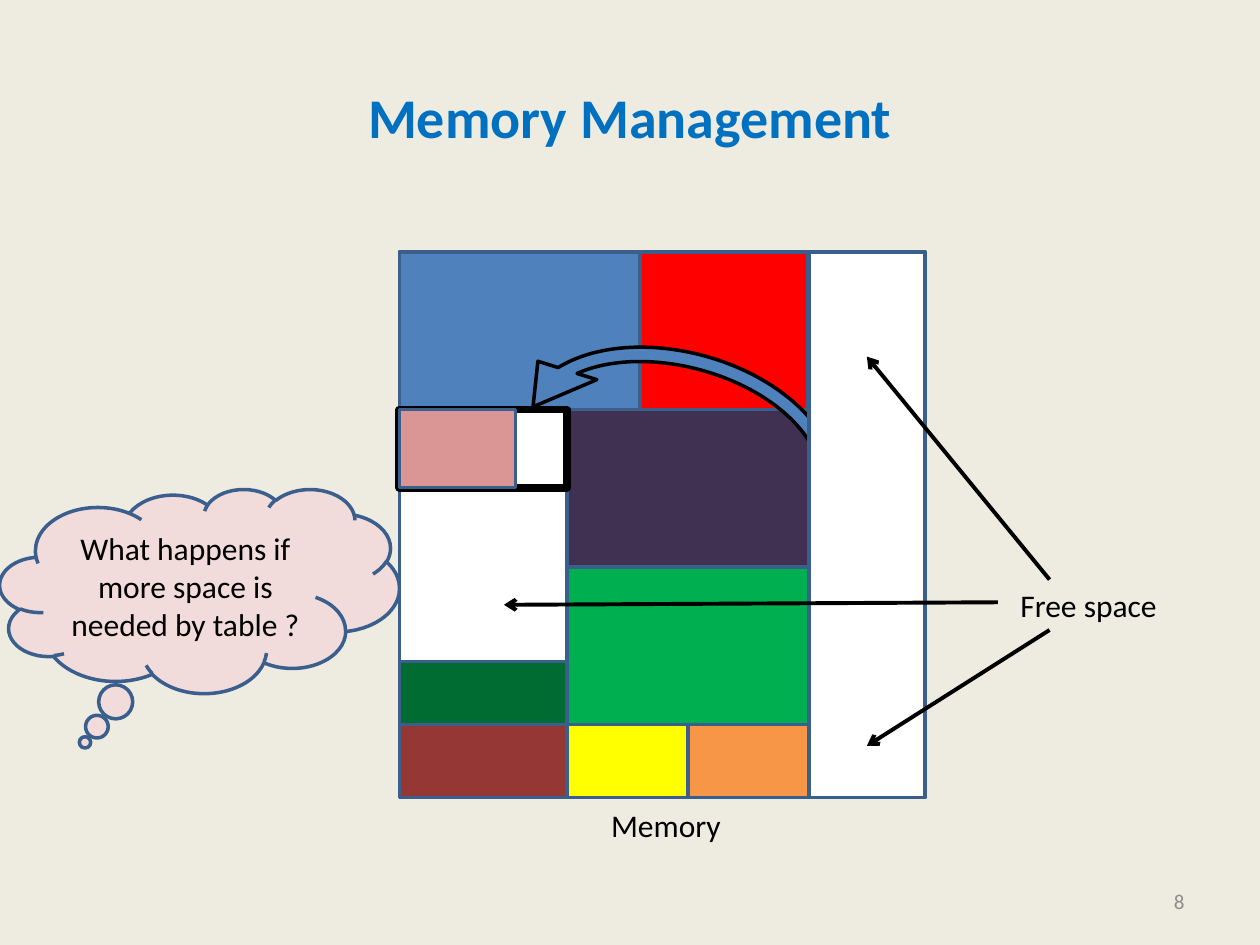
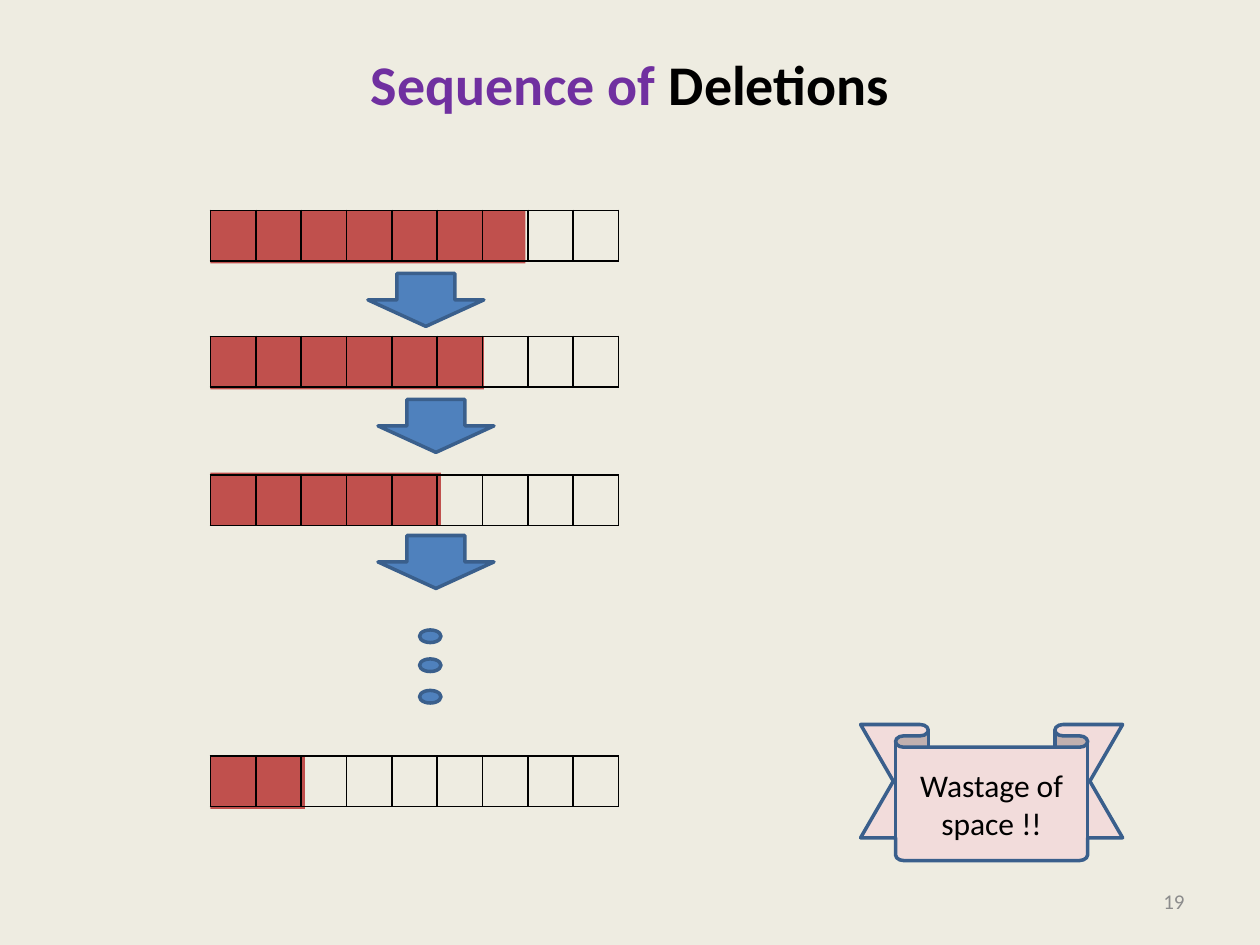
from lxml.etree import SubElement
from pptx import Presentation
from pptx.dml.color import RGBColor
from pptx.enum.shapes import MSO_CONNECTOR, MSO_SHAPE
from pptx.enum.text import MSO_ANCHOR, PP_ALIGN
from pptx.oxml.ns import qn
from pptx.util import Inches, Pt

FONT = "Calibri"
CREAM = RGBColor(0xEE, 0xEC, 0xE1)
BLACK = RGBColor(0, 0, 0)
WHITE = RGBColor(0xFF, 0xFF, 0xFF)
GREY = RGBColor(0x8C, 0x8C, 0x8C)
SKY = RGBColor(0x00, 0x70, 0xC0)
VIOLET = RGBColor(0x70, 0x30, 0xA0)
NAVY = RGBColor(0x3A, 0x5F, 0x8C)
BLUE = RGBColor(0x4F, 0x81, 0xBD)
BRICK = RGBColor(0xC0, 0x50, 0x4D)
BLUSH = RGBColor(0xF2, 0xDC, 0xDB)
ROSE = RGBColor(0xD9, 0x96, 0x94)
ORANGE = RGBColor(0xF7, 0x96, 0x46)
RED = RGBColor(0xFF, 0, 0)
PLUM = RGBColor(0x40, 0x31, 0x52)
GREEN = RGBColor(0x00, 0xB0, 0x50)
FOREST = RGBColor(0x00, 0x6C, 0x31)
MAROON = RGBColor(0x95, 0x37, 0x35)
YELLOW = RGBColor(0xFF, 0xFF, 0)


def draw(shapes, kind, at, fill, line=NAVY, width=2, adjust=()):
    """Add a filled preset shape; line=None leaves out the outline."""
    shape = shapes.add_shape(kind, *map(Inches, at))
    shape.shadow.inherit = False
    shape.fill.solid()
    shape.fill.fore_color.rgb = fill
    if line is None:
        shape.line.fill.background()
    else:
        shape.line.color.rgb = line
        shape.line.width = Pt(width)
    for i, value in enumerate(adjust):
        shape.adjustments[i] = value
    return shape


def write(shape, runs, size=18, bold=False, align=PP_ALIGN.CENTER, **frame):
    """Fill one paragraph with (text, colour) runs; frame holds text frame values."""
    box = shape.text_frame
    for name, value in {"word_wrap": True, "vertical_anchor": MSO_ANCHOR.MIDDLE, **frame}.items():
        setattr(box, name, value)
    para = box.paragraphs[0]
    para.alignment = align
    for text, color in runs:
        run = para.add_run()
        run.text = text
        run.font.color.rgb = color
        for name, value in {"name": FONT, "size": Pt(size), "bold": bold}.items():
            setattr(run.font, name, value)


deck = Presentation()
deck.slide_width, deck.slide_height = Inches(10), Inches(7.5)
ground = deck.slide_master.background.fill
ground.solid()
ground.fore_color.rgb = CREAM

# Titles and page numbers
pages = []
for runs, number, low in [
    ([("Memory Management", SKY)], "8", 0.05),
    ([("Sequence of ", VIOLET), ("Deletions", BLACK)], "19", 0.58),
]:
    page = deck.slides.add_slide(deck.slide_layouts[5])
    title = page.shapes.title
    title.left, title.top, title.width, title.height = map(Inches, (0.5, 0.3, 9, 1.25))
    write(title, runs, 32, True, margin_bottom=Inches(low))
    foot = page.shapes.add_textbox(*map(Inches, (7.17, 6.95, 2.33, 0.4)))
    write(foot, [(number, GREY)], 12, align=PP_ALIGN.RIGHT)
    pages.append(page.shapes)
memory, deletes = pages

# Memory map
label = memory.add_textbox(*map(Inches, (4.64, 6.35, 1.2, 0.4)))
write(label, [("Memory", BLACK)], align=PP_ALIGN.LEFT, word_wrap=False,
      vertical_anchor=MSO_ANCHOR.TOP, margin_left=Inches(0.21))
cloud = draw(memory, MSO_SHAPE.CLOUD_CALLOUT, (0, 3.88, 3.17, 1.62), BLUSH, adjust=(-0.287, 0.742))
write(cloud, [("What happens if more space is needed by table ?", BLACK)])

for *at, color in [
    (3.17, 2, 4.17, 4.33, ORANGE),
    (3.17, 2, 1.92, 1.25, BLUE),
    (3.17, 3.25, 1.33, 2, WHITE),
    (5.08, 2, 1.33, 1.25, RED),
    (4.5, 3.25, 1.92, 1.25, PLUM),
    (4.5, 4.5, 1.92, 1.25, GREEN),
    (3.17, 5.75, 1.33, 0.58, MAROON),
    (3.17, 5.25, 1.33, 0.5, FOREST),
    (4.5, 5.75, 0.96, 0.58, YELLOW),
]:
    draw(memory, MSO_SHAPE.RECTANGLE, at, color)

draw(memory, MSO_SHAPE.RECTANGLE, (3.17, 3.25, 1.33, 0.62), WHITE, BLACK, 4.5)
move = draw(memory, MSO_SHAPE.CIRCULAR_ARROW, (3.93, 2.61, 2.91, 1.96), BLUE, BLACK,
            adjust=(0.059, 11.423, 203.338, 108, 0.125))
move.rotation = 15.3
move._element.spPr.find(qn("a:xfrm")).set("flipH", "1")
draw(memory, MSO_SHAPE.RECTANGLE, (3.17, 3.25, 0.92, 0.62), ROSE)
draw(memory, MSO_SHAPE.RECTANGLE, (6.42, 2, 0.92, 4.33), WHITE)

# Free space pointers
free = memory.add_group_shape().shapes
label = free.add_textbox(*map(Inches, (8, 4.6, 1.3, 0.4)))
write(label, [("Free space", BLACK)], align=PP_ALIGN.LEFT, word_wrap=False,
      vertical_anchor=MSO_ANCHOR.TOP)
for ends in [(8.33, 4.6, 6.88, 2.83), (7.92, 4.78, 4, 4.8), (8.33, 5, 6.88, 5.92)]:
    arrow = free.add_connector(MSO_CONNECTOR.STRAIGHT, *map(Inches, ends))
    arrow.line.color.rgb = BLACK
    arrow.line.width = Pt(2.25)
    SubElement(arrow.line._get_or_add_ln(), qn("a:tailEnd"), type="arrow")
    SubElement(arrow._element.spPr, qn("a:effectLst"))

# Arrays that lose their items
LEFT, CELL, COUNT = 1.67, 0.36, 9
for bar, top, used in [(1.67, 1.67, 2.5), (2.67, 2.67, 2.17), (3.75, 3.77, 1.83), (6, 6, 0.75)]:
    draw(deletes, MSO_SHAPE.RECTANGLE, (LEFT, bar, used, 0.42), BRICK, None)
    place = map(Inches, (LEFT, top, CELL * COUNT, 0.4))
    table = deletes.add_table(1, COUNT, *place).table
    table.first_row = table.horz_banding = False
    for cell in table.iter_cells():
        props = cell._tc.get_or_add_tcPr()
        for side in ("lnL", "lnR", "lnT", "lnB"):
            edge = SubElement(props, qn(f"a:{side}"), w=str(Pt(1)))
            SubElement(SubElement(edge, qn("a:solidFill")), qn("a:srgbClr"), val=str(BLACK))
        cell.fill.background()

for left, top in [(2.92, 2.17), (3, 3.17), (3, 4.25)]:
    draw(deletes, MSO_SHAPE.DOWN_ARROW, (left, top, 0.92, 0.42), BLUE)

dots = deletes.add_group_shape().shapes
for top in (5, 5.23, 5.48):
    draw(dots, MSO_SHAPE.OVAL, (3.33, top, 0.17, 0.1), BLUE)

waste = draw(deletes, MSO_SHAPE.DOWN_RIBBON, (6.83, 5.75, 2.08, 1.08), BLUSH, adjust=(0.167, 0.733))
write(waste, [("Wastage of space !!", BLACK)])

deck.save("out.pptx")
